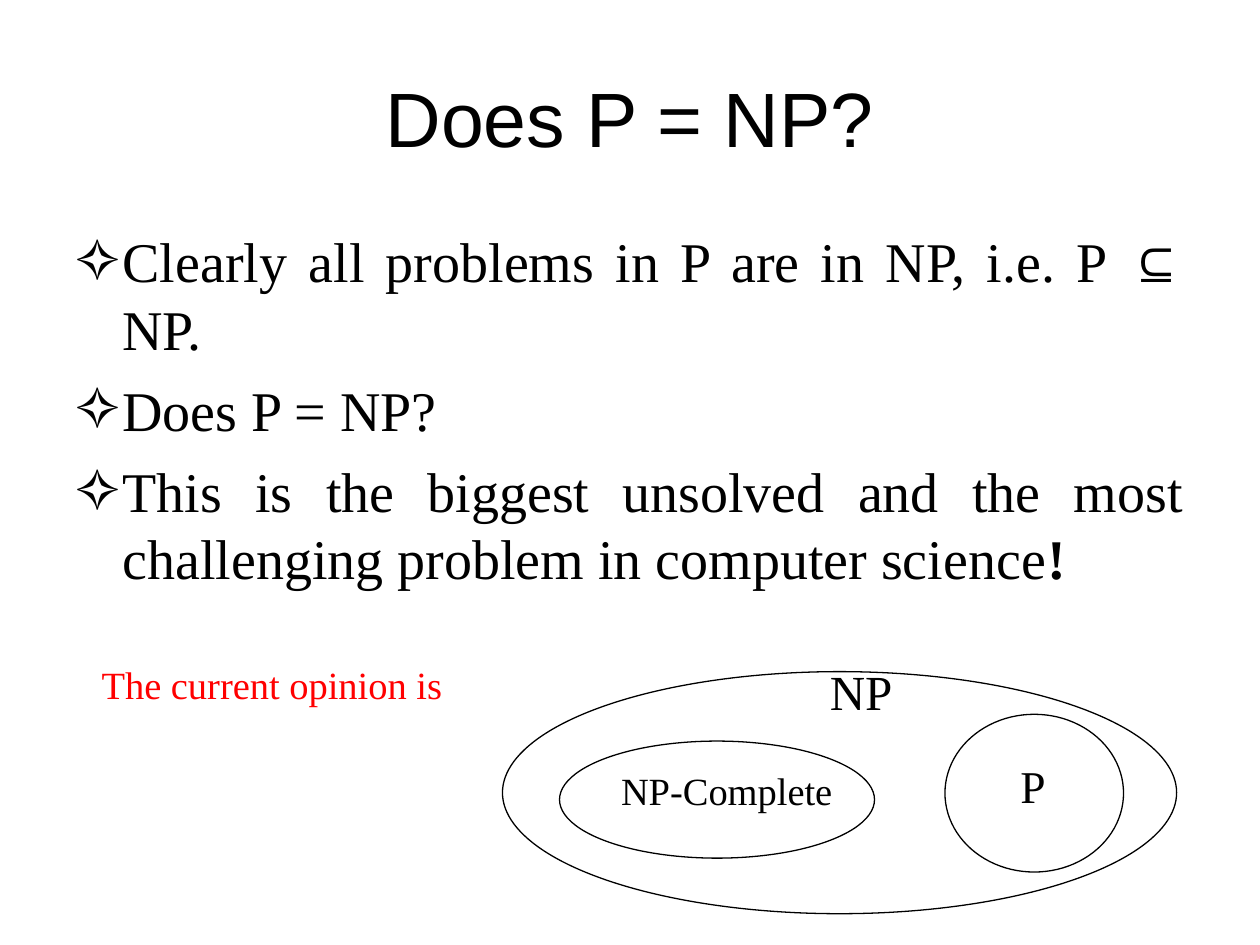
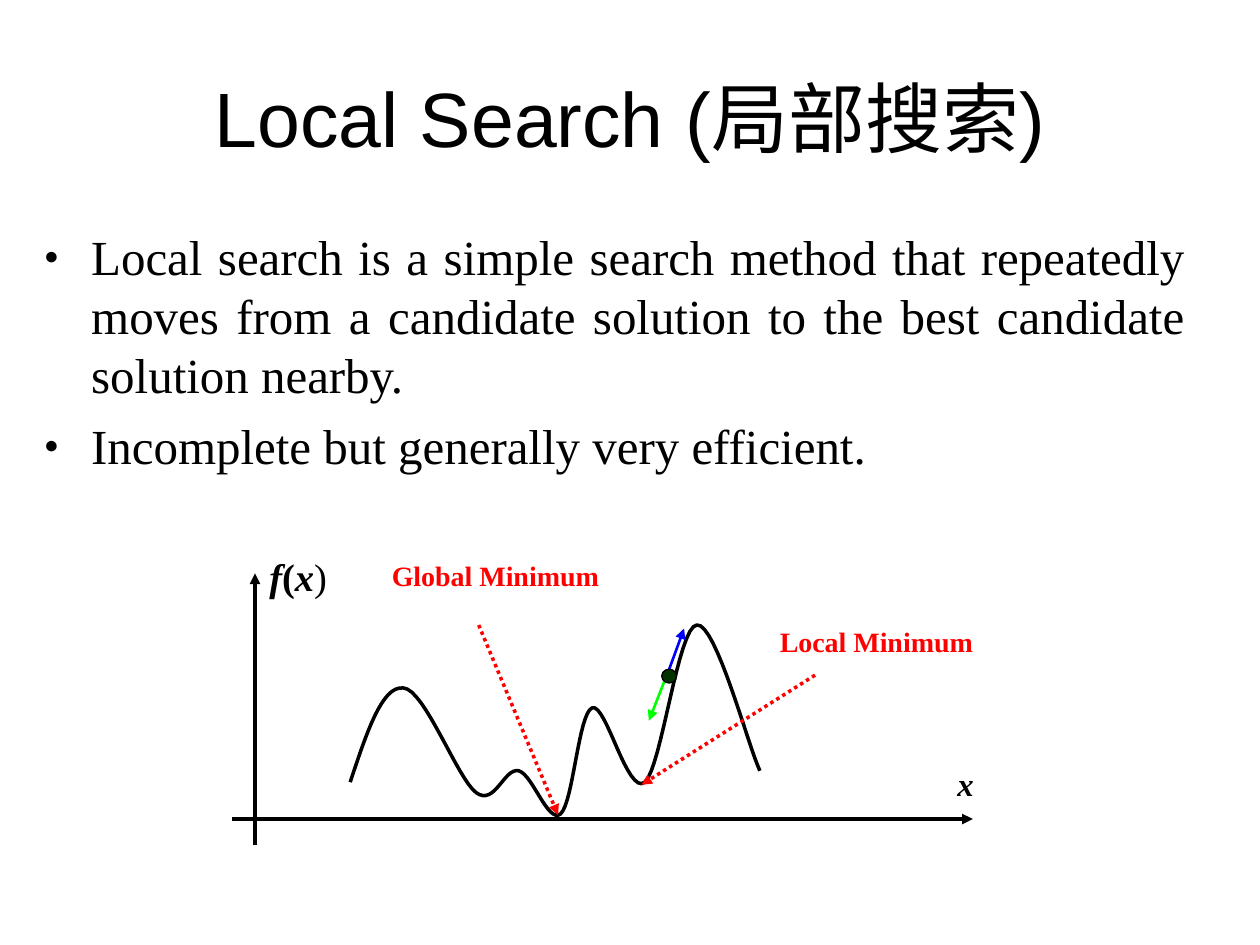
"""Build two lecture slides: P versus NP, and local search."""
import dataclasses
import typing

import lxml.etree
import pptx
import pptx.dml.color
import pptx.enum.dml
import pptx.enum.shapes
import pptx.enum.text
import pptx.oxml.ns
import pptx.util

Cm = pptx.util.Cm
Pt = pptx.util.Pt
ALIGN = pptx.enum.text.PP_ALIGN

BLACK, RED, GREEN, BLUE, DARK_GREEN = "000000", "FF0000", "00FF00", "0000FF", "003300"
SANS, SERIF = "Arial", "Times New Roman"
TITLE_BOX = (1.27, 0.76, 22.86, 3.18)
BULLET_INDENT = 0.95
CURVE_STEPS = 16

Frame = tuple[float, float, float, float]
Point = tuple[float, float]


@dataclasses.dataclass(frozen=True)
class Span:
    """A stretch of text in one style."""
    text: str
    bold: bool = False
    italic: bool = False
    font: str = SERIF


@dataclasses.dataclass(frozen=True)
class Bullet:
    """A list marker and its size in percent of the text."""
    mark: str
    percent: int = 100


@dataclasses.dataclass(frozen=True)
class Label:
    """A text box with one line of text."""
    frame: Frame
    spans: list[Span]
    size: float
    color: str = BLACK
    wrap: bool = True
    line_spacing: typing.Optional[float] = None


@dataclasses.dataclass(frozen=True)
class Oval:
    """An outlined ellipse."""
    frame: Frame
    fill: typing.Optional[str] = None


@dataclasses.dataclass(frozen=True)
class Arrow:
    """A straight line with an arrowhead at its end."""
    start: Point
    end: Point
    color: str = BLACK
    width: float = 2
    dotted: bool = False


NP_OVALS = [
    Oval((19.05, 14.4, 3.6, 3.18)),
    Oval((10.13, 13.54, 13.59, 4.88)),
    Oval((11.28, 14.94, 6.35, 2.36)),
]
NP_LABELS = [
    Label((20.32, 15.16, 1.02, 1.37), [Span("P")], 26, wrap=False),
    Label((1.8, 13.21, 7.62, 1.37), [Span("The current opinion is")], 22, RED),
    Label((16.48, 13.21, 2.97, 1.45), [Span("NP")], 28),
    Label((12.27, 15.34, 5.38, 1.19), [Span("NP-Complete")], 22),
]
NP_POINTS = [
    [Span("Clearly all problems in P are in NP, i.e. P "), Span("⊆", font=SANS), Span(" NP.")],
    [Span("Does P = NP?")],
    [Span("This is the biggest unsolved and the most challenging problem in computer science"),
     Span("!", bold=True)],
]

SEARCH_POINTS = [
    [Span("Local search is a simple search method that repeatedly moves from a "
          "candidate solution to the best candidate solution nearby.")],
    [Span("Incomplete but generally very efficient.")],
]
COST_START = (7.06, 15.77)
COST_CURVES = [
    ((7.39, 14.78), (7.7, 13.82), (8.13, 13.87)),
    ((8.56, 13.89), (9.22, 15.7), (9.6, 15.98)),
    ((9.98, 16.26), (10.16, 15.47), (10.46, 15.54)),
    ((10.74, 15.62), (11.05, 16.61), (11.3, 16.41)),
    ((11.56, 16.18), (11.66, 14.38), (11.94, 14.27)),
    ((12.22, 14.17), (12.65, 16.05), (13, 15.77)),
    ((13.34, 15.47), (13.67, 12.62), (14.05, 12.6)),
    ((14.43, 12.55), (15.09, 15.06), (15.32, 15.54)),
]
SEARCH_ARROWS = [
    Arrow((4.67, 16.51), (19.61, 16.51)),
    Arrow((5.14, 17.04), (5.14, 11.56)),
    Arrow((16.43, 13.61), (12.93, 15.82), RED, dotted=True),
    Arrow((9.65, 12.6), (11.25, 16.43), RED, dotted=True),
    Arrow((13.41, 13.69), (13.08, 14.53), GREEN, 1.5),
    Arrow((13.49, 13.49), (13.79, 12.67), BLUE, 1.5),
]
CANDIDATE = Oval((13.34, 13.49, 0.3, 0.28), DARK_GREEN)
SEARCH_LABELS = [
    Label((15.47, 12.47, 4.45, 1.37), [Span("Local Minimum", True)], 16, RED),
    Label((7.65, 11.13, 4.75, 1.37), [Span("Global Minimum", True)], 16, RED),
    Label((19.05, 15.37, 1.57, 1.09), [Span("x", True, True)], 18.7, line_spacing=0.9),
    Label((5.18, 11.02, 2.21, 1.42),
          [Span("f", True, True), Span("(", True), Span("x", True, True), Span(")")], 22),
]


def rgb(color: str) -> pptx.dml.color.RGBColor:
    """Turn a hex string into a colour."""
    return pptx.dml.color.RGBColor.from_string(color)


def apply(target: typing.Any, formats: dict[str, typing.Any]) -> None:
    """Set every format value on the target."""
    for name, value in formats.items():
        setattr(target, name, value)


def lengths(values: typing.Iterable[float]) -> list[int]:
    """Turn centimetres into lengths."""
    return [Cm(value) for value in values]


def add_element(parent: typing.Any, tag: str, **attributes: str) -> typing.Any:
    """Append a drawing element to the parent."""
    return lxml.etree.SubElement(parent, pptx.oxml.ns.qn(tag), attributes)


def write(para: typing.Any, spans: list[Span], size: float, color: str = BLACK) -> None:
    """Write the spans into a paragraph."""
    for span in spans:
        run = para.add_run()
        run.text = span.text
        apply(run.font, {"name": span.font, "size": Pt(size),
                         "bold": span.bold, "italic": span.italic})
        run.font.color.rgb = rgb(color)


def draw_line(line: typing.Any, color: str, width: float) -> None:
    """Set the colour and width of a line."""
    line.color.rgb = rgb(color)
    line.width = Pt(width)


def add_titled_slide(deck: typing.Any, title: str) -> typing.Any:
    """Add a title-only slide with the shared title style."""
    page = deck.slides.add_slide(deck.slide_layouts[5])
    box = page.shapes.title
    apply(box, dict(zip(("left", "top", "width", "height"), lengths(TITLE_BOX))))
    box.text_frame.vertical_anchor = pptx.enum.text.MSO_ANCHOR.MIDDLE
    para = box.text_frame.paragraphs[0]
    para.alignment = ALIGN.CENTER
    write(para, [Span(title, font=SANS)], 44)
    return page


def add_bullets(page: typing.Any, frame: Frame, points: list[list[Span]],
                bullet: Bullet, size: float, space: float) -> None:
    """Add a justified bullet list."""
    text = page.shapes.add_textbox(*lengths(frame)).text_frame
    text.word_wrap = True
    for index, spans in enumerate(points):
        para = text.add_paragraph() if index else text.paragraphs[0]
        apply(para, {"alignment": ALIGN.JUSTIFY, "space_before": Pt(space)})
        write(para, spans, size)
        properties = para._p.get_or_add_pPr()
        properties.set("marL", str(Cm(BULLET_INDENT)))
        properties.set("indent", str(-Cm(BULLET_INDENT)))
        add_element(add_element(properties, "a:buClr"), "a:srgbClr", val=BLACK)
        add_element(properties, "a:buSzPct", val=str(bullet.percent * 1000))
        add_element(properties, "a:buFont", typeface=SERIF)
        add_element(properties, "a:buChar", char=bullet.mark)


def add_label(page: typing.Any, label: Label) -> None:
    """Add a label."""
    text = page.shapes.add_textbox(*lengths(label.frame)).text_frame
    text.word_wrap = label.wrap
    para = text.paragraphs[0]
    apply(para, {"alignment": ALIGN.JUSTIFY, "line_spacing": label.line_spacing})
    write(para, label.spans, label.size, label.color)


def add_oval(page: typing.Any, oval: Oval) -> None:
    """Add an ellipse."""
    shape = page.shapes.add_shape(pptx.enum.shapes.MSO_SHAPE.OVAL, *lengths(oval.frame))
    shape.shadow.inherit = False
    if oval.fill:
        shape.fill.solid()
        shape.fill.fore_color.rgb = rgb(oval.fill)
    else:
        shape.fill.background()
    draw_line(shape.line, BLACK, 0.75)


def add_arrow(page: typing.Any, arrow: Arrow) -> None:
    """Add an arrow."""
    connector = page.shapes.add_connector(
        pptx.enum.shapes.MSO_CONNECTOR.STRAIGHT, *lengths(arrow.start + arrow.end))
    draw_line(connector.line, arrow.color, arrow.width)
    if arrow.dotted:
        connector.line.dash_style = pptx.enum.dml.MSO_LINE.ROUND_DOT
    add_element(connector.line._get_or_add_ln(), "a:tailEnd", type="triangle")
    add_element(connector._element.spPr, "a:effectLst")


def bezier(points: typing.Sequence[Point], share: float) -> Point:
    """Find the point at a share of the way along a cubic curve."""
    rest = 1 - share
    weights = (rest ** 3, 3 * rest ** 2 * share, 3 * rest * share ** 2, share ** 3)
    x, y = (sum(weight * value for weight, value in zip(weights, axis))
            for axis in zip(*points))
    return x, y


def add_cost_curve(page: typing.Any) -> None:
    """Draw the cost function as a smooth open outline."""
    start, outline = COST_START, []
    for curve in COST_CURVES:
        outline += [lengths(bezier((start, *curve), step / CURVE_STEPS))
                    for step in range(1, CURVE_STEPS + 1)]
        start = curve[-1]
    builder = page.shapes.build_freeform(*lengths(COST_START))
    builder.add_line_segments(outline, close=False)
    shape = builder.convert_to_shape()
    shape.shadow.inherit = False
    shape.fill.background()
    draw_line(shape.line, BLACK, 2)


def build_np_slide(deck: typing.Any) -> None:
    """Build the slide on P and NP."""
    page = add_titled_slide(deck, "Does P = NP?")
    add_bullets(page, (1.27, 4.45, 22.86, 12.57), NP_POINTS, Bullet("✧"), 32, 8)
    for oval in NP_OVALS:
        add_oval(page, oval)
    for label in NP_LABELS:
        add_label(page, label)


def build_search_slide(deck: typing.Any) -> None:
    """Build the slide on local search."""
    page = add_titled_slide(deck, "Local Search (局部搜索)")
    add_bullets(page, (0.64, 4.45, 23.5, 13.97), SEARCH_POINTS, Bullet("●", 50), 28, 7)
    add_cost_curve(page)
    for arrow in SEARCH_ARROWS:
        add_arrow(page, arrow)
    add_oval(page, CANDIDATE)
    for label in SEARCH_LABELS:
        add_label(page, label)


def main() -> None:
    """Build and save the deck."""
    deck = pptx.Presentation()
    apply(deck, {"slide_width": Cm(25.4), "slide_height": Cm(19.05)})
    build_np_slide(deck)
    build_search_slide(deck)
    deck.save("out.pptx")


if __name__ == "__main__":
    main()
